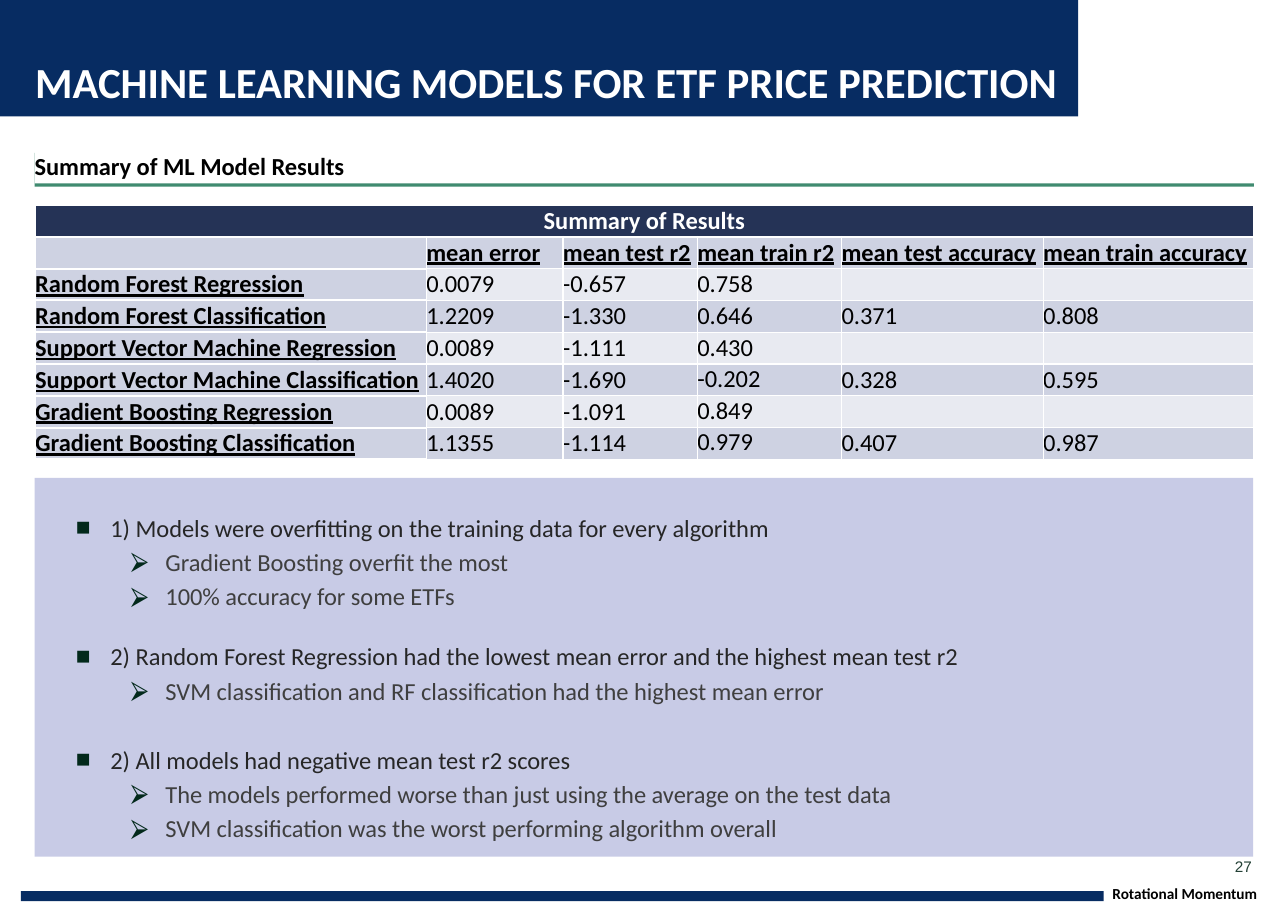
from lxml import etree
from pptx import Presentation
from pptx.dml.color import RGBColor
from pptx.enum.shapes import MSO_SHAPE
from pptx.enum.text import MSO_ANCHOR, MSO_AUTO_SIZE, PP_ALIGN
from pptx.oxml.ns import qn
from pptx.util import Pt

RECT = MSO_SHAPE.RECTANGLE
TOP, MIDDLE, BOTTOM = MSO_ANCHOR.TOP, MSO_ANCHOR.MIDDLE, MSO_ANCHOR.BOTTOM
LEFT, CENTER = PP_ALIGN.LEFT, PP_ALIGN.CENTER
NO_AUTOFIT = MSO_AUTO_SIZE.NONE

NAVY, WHITE, BLACK = "072C62", "FFFFFF", "000000"
GREEN, LAVENDER, BULLET = "408B70", "C8CBE6", "02291B"
TABLE_HEAD, BAND_DARK, BAND_LIGHT = "253356", "CED2E2", "E8EAF1"

MARGIN = 22.6
COLUMN_WIDTHS = [255.6, 89.3, 87.8, 94.3, 131.8, 137.5]
ROW_HEIGHT = 20.8
HEADINGS = ["", "mean error", "mean test r2", "mean train r2",
            "mean test accuracy", "mean train accuracy"]
RESULTS = [
    ["Random Forest Regression", "0.0079", "-0.657", "0.758", "", ""],
    ["Random Forest Classification", "1.2209", "-1.330", "0.646", "0.371", "0.808"],
    ["Support Vector Machine Regression", "0.0089", "-1.111", "0.430", "", ""],
    ["Support Vector Machine Classification", "1.4020", "-1.690", "-0.202", "0.328", "0.595"],
    ["Gradient Boosting Regression", "0.0089", "-1.091", "0.849", "", ""],
    ["Gradient Boosting Classification", "1.1355", "-1.114", "0.979", "0.407", "0.987"],
]

# Each finding: space before it, statement, details
FINDINGS = [
    (0, "1) Models were overfitting on the training data for every algorithm",
     ["Gradient Boosting overfit the most", "100% accuracy for some ETFs"]),
    (20.2, "2) Random Forest Regression had the lowest mean error and the highest mean test r2",
     ["SVM classification and RF classification had the highest mean error"]),
    (25.8, "2) All models had negative mean test r2 scores",
     ["The models performed worse than just using the average on the test data",
      "SVM classification was the worst performing algorithm overall"]),
]


def rgb(color):
    return RGBColor.from_string(color)


def format_paragraph(p, size, color, bold=False, underline=False, font="Calibri", align=LEFT):
    p.alignment = align
    for r in p.runs:
        r.font.name = font
        r.font.size = Pt(size)
        r.font.color.rgb = rgb(color)
        r.font.bold = bold
        r.font.underline = underline


def set_frame(tf, anchor, insets=(0, 0, 0, 0), wrap=True):
    tf.word_wrap = wrap
    tf.auto_size = NO_AUTOFIT
    tf.vertical_anchor = anchor
    tf.margin_left, tf.margin_top, tf.margin_right, tf.margin_bottom = map(Pt, insets)


def add_rect(s, x, y, w, h, color):
    sp = s.shapes.add_shape(RECT, Pt(x), Pt(y), Pt(w), Pt(h))
    sp.shadow.inherit = False
    sp.fill.solid()
    sp.fill.fore_color.rgb = rgb(color)
    sp.line.fill.background()
    return sp


def add_label(s, x, y, w, h, text, anchor, color, **style):
    sp = s.shapes.add_textbox(Pt(x), Pt(y), Pt(w), Pt(h))
    set_frame(sp.text_frame, anchor, wrap=False)
    p = sp.text_frame.paragraphs[0]
    p.text = text
    format_paragraph(p, 10, color, **style)


def add_color(parent, color):
    etree.SubElement(parent, qn("a:srgbClr"), val=color)


def add_title(s, text):
    sp = s.shapes.title
    s.shapes._spTree.append(sp._element)  # in front of the banner
    sp.left, sp.top, sp.width, sp.height = Pt(23), Pt(36), Pt(683), Pt(34)
    set_frame(sp.text_frame, BOTTOM)
    p = sp.text_frame.paragraphs[0]
    p.text = text
    format_paragraph(p, 28, WHITE, bold=True)


def add_section_heading(s, text):
    """White strip whose hard green shadow reads as an underline."""
    sp = add_rect(s, MARGIN, 98, 796.8, 22, WHITE)
    effects = sp._element.spPr.find(qn("a:effectLst"))
    shadow = etree.SubElement(effects, qn("a:outerShdw"), blurRad="0",
                              dist=str(Pt(2)), dir="5400000", algn="t", rotWithShape="0")
    add_color(shadow, GREEN)
    set_frame(sp.text_frame, BOTTOM, (0, 0, 0, 2))
    p = sp.text_frame.paragraphs[0]
    p.text = text
    p.line_spacing = 1.1
    format_paragraph(p, 16, BLACK, bold=True)


def set_borders(cell, bottom):
    tc_pr = cell._tc.get_or_add_tcPr()
    widths = {"a:lnL": 1, "a:lnR": 1, "a:lnT": 1, "a:lnB": bottom}
    for i, (tag, width) in enumerate(widths.items()):
        ln = etree.Element(qn(tag), w=str(Pt(width)))
        add_color(etree.SubElement(ln, qn("a:solidFill")), WHITE)
        tc_pr.insert(i, ln)


def fill_cell(cell, text, fill, color=BLACK, bold=False, underline=False,
              align=LEFT, anchor=MIDDLE, bottom=1):
    cell.margin_left = cell.margin_right = cell.margin_top = cell.margin_bottom = 0
    cell.vertical_anchor = anchor
    cell.fill.solid()
    cell.fill.fore_color.rgb = rgb(fill)
    set_borders(cell, bottom)
    p = cell.text_frame.paragraphs[0]
    if text:
        p.text = text
        format_paragraph(p, 16, color, bold, underline, align=align)
    else:
        etree.SubElement(p._p, qn("a:endParaRPr"), sz="1600")


def add_results_table(s):
    rows = [HEADINGS] + RESULTS
    frame = s.shapes.add_table(len(rows) + 1, len(HEADINGS), Pt(23), Pt(134),
                               Pt(sum(COLUMN_WIDTHS)), Pt(ROW_HEIGHT * (len(rows) + 1)))
    table = frame.table
    for column, width in zip(table.columns, COLUMN_WIDTHS):
        column.width = Pt(width)
    for row in table.rows:
        row.height = Pt(ROW_HEIGHT)
    for j in range(len(HEADINGS)):
        fill_cell(table.cell(0, j), "" if j else "Summary of Results", TABLE_HEAD,
                  WHITE, bold=True, align=CENTER, bottom=1.5)
    table.cell(0, 0).merge(table.cell(0, len(HEADINGS) - 1))
    for i, values in enumerate(rows, 1):
        for j, text in enumerate(values):
            is_label = i == 1 or j == 0
            fill = BAND_DARK if is_label or i % 2 else BAND_LIGHT
            fill_cell(table.cell(i, j), text, fill, bold=is_label, underline=is_label,
                      anchor=TOP if j == 3 and i > 4 else MIDDLE,
                      bottom=1.5 if j == 0 else 1)


def add_bullet(p, text, char, indent, color, space):
    p.text = text
    p_pr = p._p.get_or_add_pPr()
    p_pr.set("marL", str(Pt(indent)))
    p_pr.set("indent", str(Pt(-22.5)))
    add_color(etree.SubElement(p_pr, qn("a:buClr")), BULLET)
    etree.SubElement(p_pr, qn("a:buFont"), typeface="Arial")
    etree.SubElement(p_pr, qn("a:buChar"), char=char)
    p.space_before = Pt(space)
    format_paragraph(p, 16, color)


def add_findings(s):
    sp = add_rect(s, MARGIN, 312.4, 796.3, 247.6, LAVENDER)
    tf = sp.text_frame
    set_frame(tf, TOP, (9, 22.7, 9, 0))
    for i, (space, statement, details) in enumerate(FINDINGS):
        p = tf.add_paragraph() if i else tf.paragraphs[0]
        add_bullet(p, statement, "■", 40.5, "262626", space)
        for detail in details:
            add_bullet(tf.add_paragraph(), detail, "⮚", 76.5, "3F3F3F", 3.2)


def main():
    prs = Presentation()
    prs.slide_width, prs.slide_height = Pt(841.68), Pt(595.44)
    s = prs.slides.add_slide(prs.slide_layouts.get_by_name("Title Only"))
    add_rect(s, 0, 0, 704.5, 76.2, NAVY)
    add_title(s, "MACHINE LEARNING MODELS FOR ETF PRICE PREDICTION")
    add_section_heading(s, "Summary of ML Model Results")
    add_results_table(s)
    add_findings(s)
    add_rect(s, 13.7, 582.5, 707.5, 6.5, NAVY)
    add_label(s, 727, 577.5, 110, 12.2, "Rotational Momentum", BOTTOM, BLACK, bold=True)
    add_label(s, 807, 560, 12.2, 12.2, "27", MIDDLE, "234035", font="Arial")
    prs.save("out.pptx")


if __name__ == "__main__":
    main()
